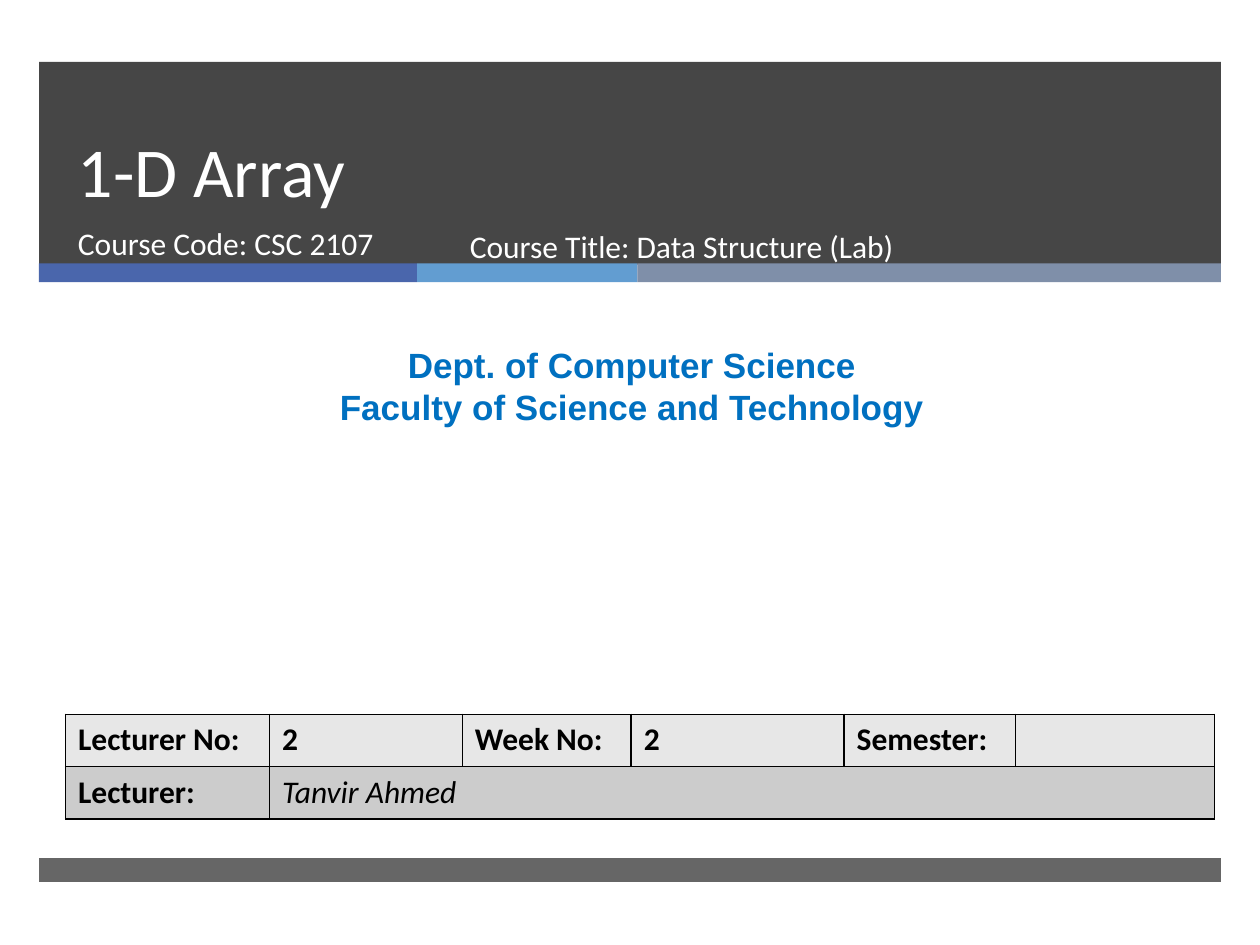
from lxml import etree
from pptx import Presentation
from pptx.dml.color import RGBColor
from pptx.enum.shapes import MSO_SHAPE
from pptx.enum.text import MSO_ANCHOR, PP_ALIGN
from pptx.oxml.ns import qn
from pptx.util import Inches, Pt

RECT = MSO_SHAPE.RECTANGLE
TOP, BOTTOM = MSO_ANCHOR.TOP, MSO_ANCHOR.BOTTOM
LEFT, CENTER = PP_ALIGN.LEFT, PP_ALIGN.CENTER

THEME = {
    "dark": "262626", "blue": "4A66AC", "sky": "629DD1", "slate": "7F8FA9",
    "white": "FFFFFF", "dept": "0070C0", "ink": "000000",
    "row_fills": ["E7E7E7", "CCCCCC"],
    "body": "Calibri", "dept_font": "Arial",
    "title_pt": 40, "body_pt": 18, "dept_pt": 20, "border_pt": 1,
}

# Content
TITLE = "1-D Array"
COURSE_CODE = "Course Code: CSC 2107"
COURSE_TITLE = "Course Title: Data Structure (Lab)"
DEPARTMENT = ["Dept. of Computer Science", "Faculty of Science and Technology"]
LECTURE_ROWS = [
    ["Lecturer No:", "2", "Week No:", "2", "Semester:", ""],
    ["Lecturer:", "Tanvir Ahmed"],
]
COLUMN_WIDTHS = [1.62, 1.53, 1.34, 1.69, 1.36, 1.58]
ROW_HEIGHT = 0.415

# Bands: top, height, [(width, colour, opacity %)]
BAND_LEFT, BAND_WIDTH = 0.31, 9.38
BANDS = [
    (0.49, 1.61, [(BAND_WIDTH, "dark", 85)]),
    (2.09, 0.15, [(3, "blue", 100), (1.75, "sky", 100), (4.63, "slate", 100)]),
    (6.81, 0.19, [(BAND_WIDTH, "dark", 70)]),
]


def style(font, size, color, name, bold=False, italic=False):
    font.size, font.name = Pt(size), name
    font.bold, font.italic = bold, italic
    font.color.rgb = RGBColor.from_string(color)


def add_band(s, left, top, width, height, color, opacity):
    sp = s.shapes.add_shape(RECT, Inches(left), Inches(top), Inches(width), Inches(height))
    sp.shadow.inherit = False
    sp.line.fill.background()
    sp.fill.solid()
    sp.fill.fore_color.rgb = RGBColor.from_string(color)
    if opacity < 100:
        rgb = sp.fill._xPr.find(".//" + qn("a:srgbClr"))
        etree.SubElement(rgb, qn("a:alpha"), val=str(opacity * 1000))


def add_text(s, box, lines, size, color, name, bold=False, align=LEFT, anchor=TOP, spacing=None):
    tf = s.shapes.add_textbox(*map(Inches, box)).text_frame
    tf.word_wrap = True
    tf.vertical_anchor = anchor
    tf.text = "\n".join(lines)
    for p in tf.paragraphs:
        p.alignment = align
        if spacing:
            p.line_spacing = Pt(spacing)
        for r in p.runs:
            style(r.font, size, color, name, bold)


def set_borders(cell):
    tc_pr = cell._tc.get_or_add_tcPr()
    for i, side in enumerate(("lnL", "lnR", "lnT", "lnB")):
        ln = etree.Element(qn("a:" + side), w=str(Pt(THEME["border_pt"])))
        fill = etree.SubElement(ln, qn("a:solidFill"))
        etree.SubElement(fill, qn("a:srgbClr"), val=THEME["ink"])
        tc_pr.insert(i, ln)


def add_lecture_table(s, left, top):
    rows, cols = len(LECTURE_ROWS), len(COLUMN_WIDTHS)
    table = s.shapes.add_table(rows, cols, Inches(left), Inches(top),
                               Inches(sum(COLUMN_WIDTHS)), Inches(rows * ROW_HEIGHT)).table
    for column, width in zip(table.columns, COLUMN_WIDTHS):
        column.width = Inches(width)
    for i, texts in enumerate(LECTURE_ROWS):
        table.rows[i].height = Inches(ROW_HEIGHT)
        # The last entry of a short row spans the remaining columns
        if len(texts) < cols:
            table.cell(i, len(texts) - 1).merge(table.cell(i, cols - 1))
        for j in range(cols):
            cell = table.cell(i, j)
            cell.fill.solid()
            cell.fill.fore_color.rgb = RGBColor.from_string(THEME["row_fills"][i])
            set_borders(cell)
            if j < len(texts):
                cell.text = texts[j]
            is_name = i == 1 and j == 1
            style(cell.text_frame.paragraphs[0].font, THEME["body_pt"], THEME["ink"],
                  THEME["body"], bold=not is_name, italic=is_name)


def main():
    prs = Presentation()
    prs.slide_width, prs.slide_height = Inches(10), Inches(7.5)
    s = prs.slides.add_slide(prs.slide_layouts[6])

    # Header, accent strip and footer
    for top, height, segments in BANDS:
        left = BAND_LEFT
        for width, color, opacity in segments:
            add_band(s, left, top, width, height, THEME[color], opacity)
            left += width

    # Title and course details
    white, body = THEME["white"], THEME["body"]
    add_text(s, (0.52, 0.54, 8.54, 1.19), [TITLE], THEME["title_pt"], white, body,
             anchor=BOTTOM, spacing=46)
    add_text(s, (0.52, 1.73, 3.05, 0.53), [COURSE_CODE], THEME["body_pt"], white, body)
    add_text(s, (3.63, 1.75, 4.55, 0.53), [COURSE_TITLE], THEME["body_pt"], white, body)

    # Department
    add_text(s, (0.08, 2.68, 9.87, 0.77), DEPARTMENT, THEME["dept_pt"], THEME["dept"],
             THEME["dept_font"], bold=True, align=CENTER)

    # Lecture details
    add_lecture_table(s, 0.52, 5.67)
    prs.save("out.pptx")


if __name__ == "__main__":
    main()
